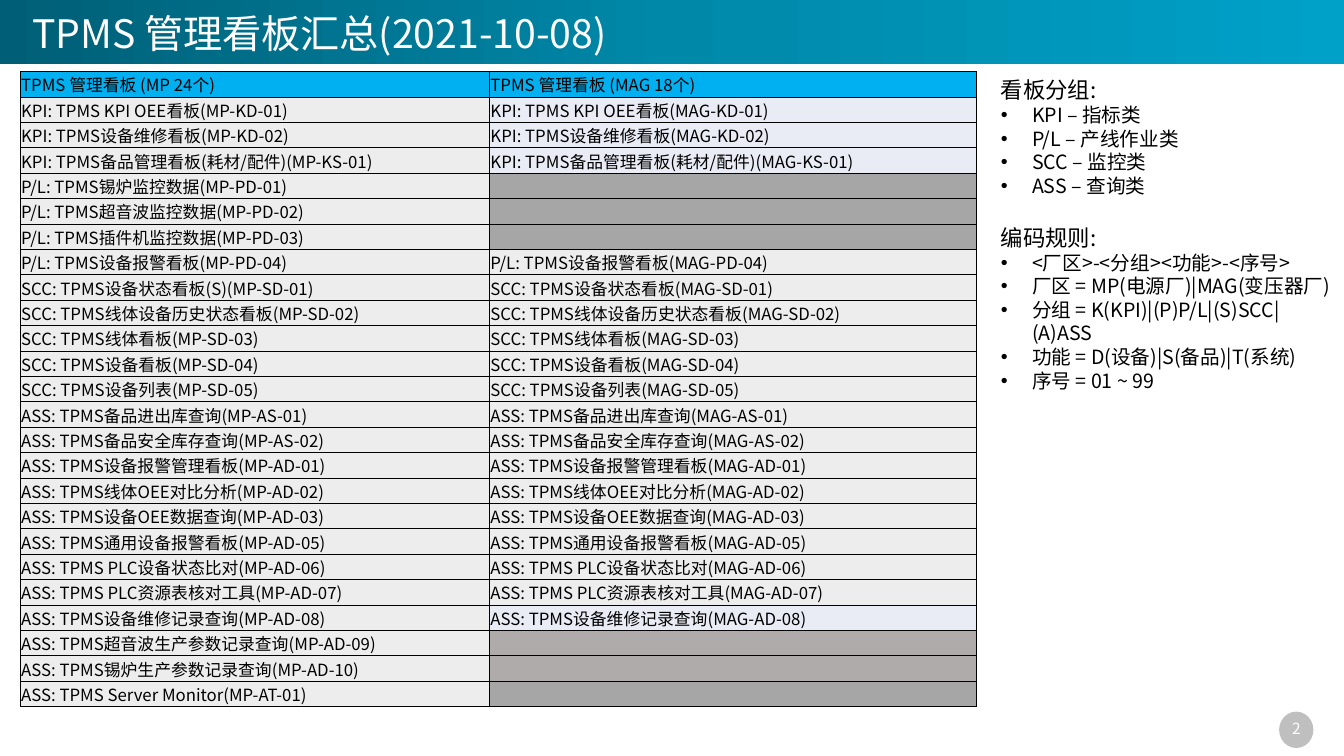
"""Build the TPMS board summary slide."""
from lxml import etree
from pptx import Presentation
from pptx.dml.color import RGBColor
from pptx.enum.shapes import MSO_SHAPE
from pptx.enum.text import MSO_ANCHOR, MSO_AUTO_SIZE, PP_ALIGN
from pptx.oxml.ns import qn
from pptx.util import Pt

RECT, OVAL = MSO_SHAPE.RECTANGLE, MSO_SHAPE.OVAL
TOP, MIDDLE = MSO_ANCHOR.TOP, MSO_ANCHOR.MIDDLE
LEFT, CENTER = PP_ALIGN.LEFT, PP_ALIGN.CENTER
GROW, FIXED = MSO_AUTO_SIZE.SHAPE_TO_FIT_TEXT, MSO_AUTO_SIZE.NONE

FONT = "Noto Sans CJK SC"
BLACK = RGBColor(0x00, 0x00, 0x00)
WHITE = RGBColor(0xFF, 0xFF, 0xFF)
SILVER = RGBColor(0xBF, 0xBF, 0xBF)
SKY = RGBColor(0x00, 0xB0, 0xF0)
PALE = RGBColor(0xED, 0xED, 0xED)
LILAC = RGBColor(0xE9, 0xEB, 0xF5)
GREY = RGBColor(0xA6, 0xA6, 0xA6)
WARM = RGBColor(0xAF, 0xAB, 0xAB)
DEEP = RGBColor(0x00, 0x5F, 0x76)
TEAL = RGBColor(0x00, 0x88, 0xA9)
AQUA = RGBColor(0x00, 0xA1, 0xC8)
EMPTY = (GREY, WARM)

BOARDS = [
    ("KPI: TPMS KPI OEE看板", "KD-01", LILAC),
    ("KPI: TPMS设备维修看板", "KD-02", LILAC),
    ("KPI: TPMS备品管理看板(耗材/配件)", "KS-01", LILAC),
    ("P/L: TPMS锡炉监控数据", "PD-01", GREY),
    ("P/L: TPMS超音波监控数据", "PD-02", GREY),
    ("P/L: TPMS插件机监控数据", "PD-03", GREY),
    ("P/L: TPMS设备报警看板", "PD-04", PALE),
    ("SCC: TPMS设备状态看板(S)", "SD-01", PALE),
    ("SCC: TPMS线体设备历史状态看板", "SD-02", PALE),
    ("SCC: TPMS线体看板", "SD-03", PALE),
    ("SCC: TPMS设备看板", "SD-04", PALE),
    ("SCC: TPMS设备列表", "SD-05", PALE),
    ("ASS: TPMS备品进出库查询", "AS-01", PALE),
    ("ASS: TPMS备品安全库存查询", "AS-02", PALE),
    ("ASS: TPMS设备报警管理看板", "AD-01", PALE),
    ("ASS: TPMS线体OEE对比分析", "AD-02", PALE),
    ("ASS: TPMS设备OEE数据查询", "AD-03", PALE),
    ("ASS: TPMS通用设备报警看板", "AD-05", PALE),
    ("ASS: TPMS PLC设备状态比对", "AD-06", PALE),
    ("ASS: TPMS PLC资源表核对工具", "AD-07", PALE),
    ("ASS: TPMS设备维修记录查询", "AD-08", LILAC),
    ("ASS: TPMS超音波生产参数记录查询", "AD-09", WARM),
    ("ASS: TPMS锡炉生产参数记录查询", "AD-10", WARM),
    ("ASS: TPMS Server Monitor", "AT-01", GREY),
]
NOTES = [
    ("看板分组:", ["KPI – 指标类", "P/L – 产线作业类", "SCC – 监控类", "ASS – 查询类"]),
    ("编码规则:", [
        "<厂区>-<分组><功能>-<序号>",
        "厂区 = MP(电源厂)|MAG(变压器厂)",
        "分组 = K(KPI)|(P)P/L|(S)SCC|(A)ASS",
        "功能 = D(设备)|S(备品)|T(系统)",
        "序号 = 01 ~ 99",
    ]),
]


def write(para, text, size=12, color=BLACK, align=LEFT, line=None, before=0, bullet=False):
    """Put formatted text into a paragraph."""
    para.alignment = align
    if line:
        para.line_spacing = line
    if before:
        para.space_before = Pt(before)
    if bullet:
        props = para._p.get_or_add_pPr()
        props.set("marL", str(Pt(22.3)))
        props.set("indent", str(Pt(-22.3)))
        etree.SubElement(props, qn("a:buFont"), typeface="Arial")
        etree.SubElement(props, qn("a:buChar"), char="•")
    run = para.add_run()
    run.text = text
    font = run.font
    font.size, font.name, font.color.rgb = Pt(size), FONT, color
    etree.SubElement(run._r.get_or_add_rPr(), qn("a:ea"), typeface=FONT)


def add_box(slide, left, top, width, height, anchor=TOP, wrap=True, fit=FIXED):
    """Add a text box and return its frame."""
    frame = slide.shapes.add_textbox(Pt(left), Pt(top), Pt(width), Pt(height)).text_frame
    frame.word_wrap, frame.auto_size, frame.vertical_anchor = wrap, fit, anchor
    return frame


def add_form(slide, kind, left, top, width, height):
    """Add a plain shape without line or shadow."""
    shape = slide.shapes.add_shape(kind, Pt(left), Pt(top), Pt(width), Pt(height))
    shape.shadow.inherit = False
    shape.line.fill.background()
    return shape


def add_band(slide):
    """Add the gradient title band."""
    fill = add_form(slide, RECT, 0, 0, 960, 46).fill
    fill.gradient()
    fill.gradient_angle = 0
    stops = fill._fill._gradFill.find(qn("a:gsLst"))
    for stop in list(stops):
        stops.remove(stop)
    for place, color in ((0, DEEP), (50000, TEAL), (100000, AQUA)):
        stop = etree.SubElement(stops, qn("a:gs"), pos=str(place))
        etree.SubElement(stop, qn("a:srgbClr"), val=str(color))


def fill_cell(cell, text, fill):
    """Set the text, borders and fill of a cell."""
    cell.margin_left = cell.margin_right = cell.margin_top = Pt(0.72)
    cell.margin_bottom = 0
    cell.vertical_anchor = MIDDLE
    props = cell._tc.get_or_add_tcPr()
    for side in ("a:lnL", "a:lnR", "a:lnT", "a:lnB"):
        edge = etree.SubElement(props, qn(side), w=str(Pt(0.25)))
        paint = etree.SubElement(edge, qn("a:solidFill"))
        etree.SubElement(paint, qn("a:srgbClr"), val=str(BLACK))
    cell.fill.solid()
    cell.fill.fore_color.rgb = fill
    para = cell.text_frame.paragraphs[0]
    if text:
        write(para, text)
    else:
        etree.SubElement(para._p, qn("a:endParaRPr"), sz="1200")


def add_grid(slide):
    """Add the table of boards for both plants."""
    rows = [[("TPMS 管理看板 (MP 24个)", SKY), ("TPMS 管理看板 (MAG 18个)", SKY)]]
    for name, code, fill in BOARDS:
        twin = "" if fill in EMPTY else f"{name.removesuffix('(S)')}(MAG-{code})"
        rows.append([(f"{name}(MP-{code})", PALE), (twin, fill)])
    high = 18.17
    table = slide.shapes.add_table(
        len(rows), 2, Pt(14.4), Pt(51), Pt(682.8), Pt(high * len(rows))).table
    table.first_row = table.horz_banding = False
    for col, width in zip(table.columns, (335.2, 347.6)):
        col.width = Pt(width)
    for i, row in enumerate(rows):
        table.rows[i].height = Pt(high)
        for j, (text, fill) in enumerate(row):
            fill_cell(table.cell(i, j), text, fill)


def add_notes(slide):
    """Add the groups and coding rules."""
    frame = add_box(slide, 707.8, 51, 252.5, 237.6, fit=GROW)
    para = frame.paragraphs[0]
    for i, (head, items) in enumerate(NOTES):
        if i:
            para = frame.add_paragraph()
        write(para, head, size=16, before=19 * i)
        for item in items:
            write(frame.add_paragraph(), item, size=14, bullet=True)


def main():
    """Build and save the slide."""
    deck = Presentation()
    deck.slide_width, deck.slide_height = Pt(960), Pt(540)
    slide = deck.slides.add_slide(deck.slide_layouts[6])
    add_band(slide)
    disc = add_form(slide, OVAL, 913.7, 508.3, 24.5, 26)
    disc.fill.solid()
    disc.fill.fore_color.rgb = SILVER
    page = add_box(slide, 887.8, 509.8, 76.3, 20.2, anchor=MIDDLE)
    write(page.paragraphs[0], "2", size=11, color=WHITE, align=CENTER)
    title = add_box(slide, 15.8, 6.5, 445.7, 38.2, anchor=MIDDLE, wrap=False, fit=GROW)
    write(title.paragraphs[0], "TPMS 管理看板汇总(2021-10-08)", size=28, color=WHITE, line=0.9)
    add_grid(slide)
    add_notes(slide)
    deck.save("out.pptx")


if __name__ == "__main__":
    main()
